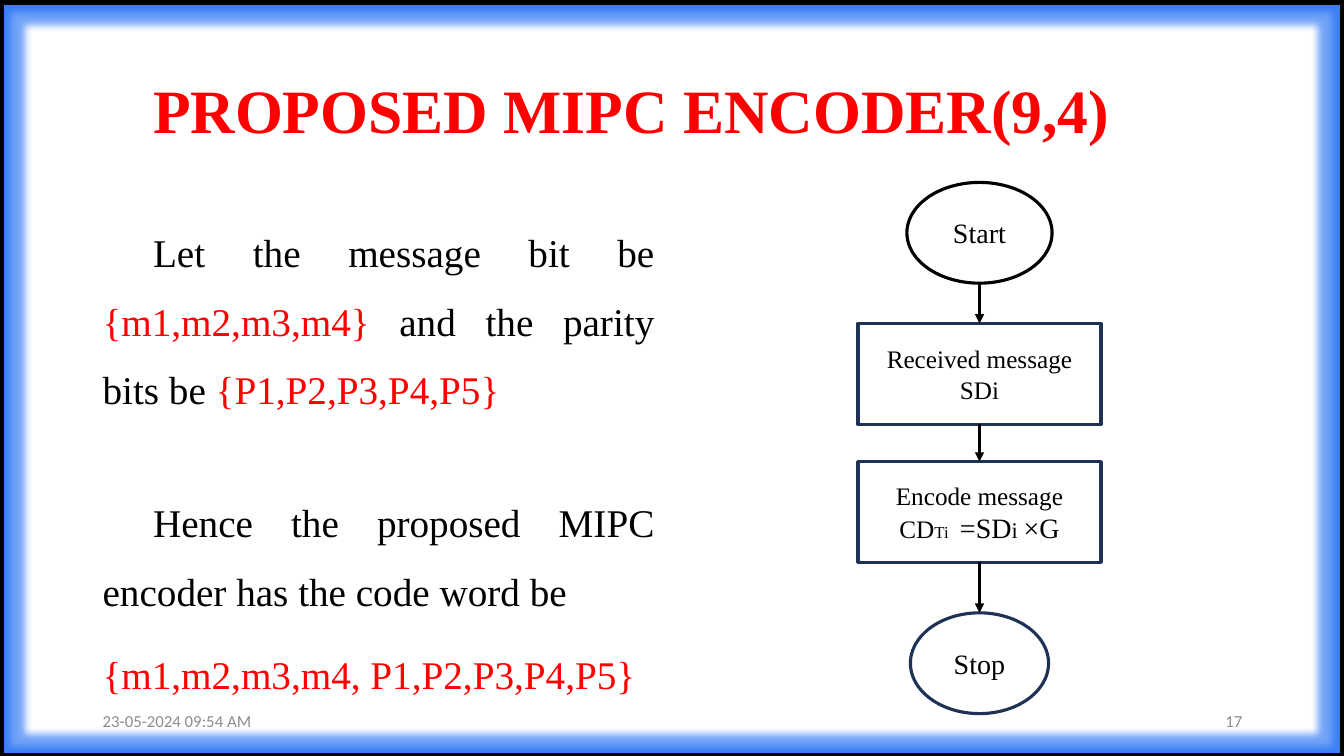
from dataclasses import dataclass

from lxml import etree
from pptx import Presentation
from pptx.dml.color import RGBColor
from pptx.enum.shapes import MSO_CONNECTOR, MSO_SHAPE
from pptx.enum.text import MSO_ANCHOR, PP_ALIGN
from pptx.oxml.ns import qn
from pptx.util import Inches, Pt

RECTANGLE, OVAL = MSO_SHAPE.RECTANGLE, MSO_SHAPE.OVAL
STRAIGHT = MSO_CONNECTOR.STRAIGHT
TOP, MIDDLE = MSO_ANCHOR.TOP, MSO_ANCHOR.MIDDLE
LEFT, CENTER, RIGHT, JUSTIFY = PP_ALIGN.LEFT, PP_ALIGN.CENTER, PP_ALIGN.RIGHT, PP_ALIGN.JUSTIFY
BOTTOM_SITE, TOP_SITE = 2, 0


@dataclass(frozen=True)
class Theme:
    """Colours, fonts and type sizes of the slide."""
    black: str = "000000"
    white: str = "FFFFFF"
    red: str = "FF0000"
    navy: str = "1E3256"
    grey: str = "8C8C8C"
    glow: str = "1466F4"
    serif: str = "Times New Roman"
    sans: str = "Calibri"
    title: int = 44
    body: int = 28
    terminal: int = 20
    step: int = 18
    index: int = 16
    small: int = 12


THEME = Theme()


def add_paragraph(frame, *runs, size, color=THEME.black, font=THEME.serif, bold=False,
                  align=LEFT, line_spacing=1.0, space_before=0):
    """Append a paragraph; a run is text or a (text, overrides) pair."""
    first = frame.paragraphs[0]
    paragraph = frame.add_paragraph() if first.runs else first
    paragraph.alignment = align
    paragraph.line_spacing = line_spacing
    paragraph.space_before = Pt(space_before)
    for item in runs:
        text, changes = (item, {}) if isinstance(item, str) else item
        run = paragraph.add_run()
        run.text = text
        run.font.name = font
        run.font.bold = bold
        run.font.size = Pt(changes.get("size", size))
        run.font.color.rgb = RGBColor.from_string(changes.get("color", color))


def add_text_frame(slide, box, anchor=MIDDLE):
    """Add a wrapping text box and return its text frame."""
    frame = slide.shapes.add_textbox(*map(Inches, box)).text_frame
    frame.word_wrap = True
    frame.vertical_anchor = anchor
    return frame


def add_border(slide, box):
    """Draw the black slide border with its blue glow."""
    border = slide.shapes.add_shape(RECTANGLE, *map(Inches, box))
    border.fill.background()
    border.line.color.rgb = RGBColor.from_string(THEME.black)
    border.line.width = Pt(6)
    border.shadow.inherit = False
    effects = border._element.spPr.find(qn("a:effectLst"))
    glow = etree.SubElement(effects, qn("a:glow"), rad=str(Pt(11)))
    color = etree.SubElement(glow, qn("a:srgbClr"), val=THEME.glow)
    etree.SubElement(color, qn("a:alpha"), val="60000")


def add_title(slide, box):
    """Write the slide title."""
    add_paragraph(add_text_frame(slide, box), "\tPROPOSED MIPC ENCODER(9,4)",
                  size=THEME.title, color=THEME.red, bold=True, line_spacing=0.9)


def add_body(slide, box):
    """Write the explanation of message, parity and code word."""
    frame = add_text_frame(slide, box, TOP)
    red = {"color": THEME.red}
    paragraphs = (
        (10, ["\tLet the message bit be ", ("{m1,m2,m3,m4}", red),
              " and the parity bits be ", ("{P1,P2,P3,P4,P5}", red)]),
        (46, ["\tHence the proposed MIPC encoder has the code word be"]),
        (10, [("{m1,m2,m3,m4, P1,P2,P3,P4,P5}", red)]),
    )
    for space, runs in paragraphs:
        add_paragraph(frame, *runs, size=THEME.body, align=JUSTIFY,
                      line_spacing=1.46, space_before=space)


def add_node(slide, kind, box, line_color, paragraphs, size):
    """Add one flowchart node with centred text."""
    node = slide.shapes.add_shape(kind, *map(Inches, box))
    node.shadow.inherit = False
    node.fill.solid()
    node.fill.fore_color.rgb = RGBColor.from_string(THEME.white)
    node.line.color.rgb = RGBColor.from_string(line_color)
    node.line.width = Pt(2.25)
    node.text_frame.word_wrap = True
    node.text_frame.vertical_anchor = MIDDLE
    for runs in paragraphs:
        add_paragraph(node.text_frame, *runs, size=size, align=CENTER)
    return node


def add_arrow(slide, source, target):
    """Join two nodes from bottom to top with an arrow."""
    arrow = slide.shapes.add_connector(STRAIGHT, 0, 0, 0, 0)
    arrow.begin_connect(source, BOTTOM_SITE)
    arrow.end_connect(target, TOP_SITE)
    arrow.line.color.rgb = RGBColor.from_string(THEME.black)
    arrow.line.width = Pt(2.25)
    etree.SubElement(arrow.line._get_or_add_ln(), qn("a:tailEnd"), type="triangle")
    etree.SubElement(arrow._element.spPr, qn("a:effectLst"))


def add_flowchart(slide, box):
    """Draw the encoder flowchart centred in its box."""
    left, top, width, _ = box
    formula = ["CD", ("Ti ", {"size": THEME.small}), (" =SD", {"size": THEME.terminal}),
               ("i ", {"size": THEME.index}), ("×G", {"size": THEME.terminal})]
    steps = (
        (OVAL, 0, 1.44, THEME.black, [["Start"]], THEME.terminal),
        (RECTANGLE, 1.4, width, THEME.navy, [["Received message SDi"]], THEME.step),
        (RECTANGLE, 2.77, width, THEME.navy, [["Encode message"], formula], THEME.step),
        (OVAL, 4.27, 1.37, THEME.navy, [["Stop"]], THEME.terminal),
    )
    nodes = []
    for kind, offset, node_width, color, paragraphs, size in steps:
        node_box = (left + (width - node_width) / 2, top + offset, node_width, 1)
        nodes.append(add_node(slide, kind, node_box, color, paragraphs, size))
    for source, target in zip(nodes, nodes[1:]):
        add_arrow(slide, source, target)


def add_footer(slide, box):
    """Write the date at the left and the slide number at the right."""
    left, top, width, height = box
    field_width = 3
    fields = ((left, "23-05-2024 09:54 AM", LEFT),
              (left + width - field_width, "17", RIGHT))
    for field_left, text, align in fields:
        frame = add_text_frame(slide, (field_left, top, field_width, height))
        add_paragraph(frame, text, size=THEME.small, color=THEME.grey,
                      font=THEME.sans, align=align)


def main():
    """Build and save the presentation."""
    presentation = Presentation()
    presentation.slide_width = Inches(13.33)
    presentation.slide_height = Inches(7.5)
    slide = presentation.slides.add_slide(presentation.slide_layouts[6])
    add_border(slide, (0, 0.01, 13.33, 7.5))
    add_title(slide, (0.92, 0.4, 11.5, 1.45))
    add_body(slide, (0.92, 2, 5.67, 4.76))
    add_flowchart(slide, (8.51, 1.81, 2.41, 5.27))
    add_footer(slide, (0.92, 6.95, 11.5, 0.4))
    presentation.save("out.pptx")


if __name__ == "__main__":
    main()
